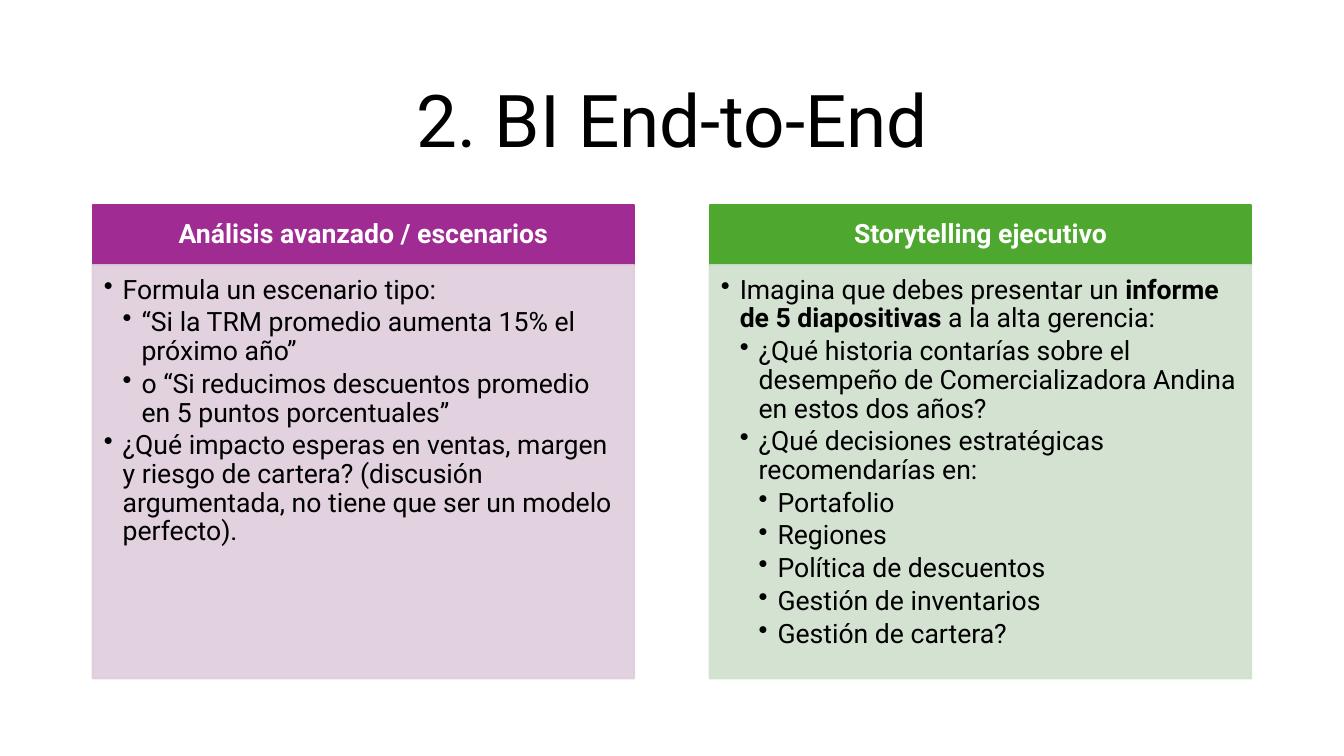
from dataclasses import dataclass

from lxml import etree
from pptx import Presentation
from pptx.dml.color import RGBColor
from pptx.enum.shapes import MSO_SHAPE
from pptx.enum.text import MSO_ANCHOR, PP_ALIGN
from pptx.oxml.ns import qn
from pptx.util import Inches, Pt

RECT = MSO_SHAPE.RECTANGLE
TOP, MIDDLE = MSO_ANCHOR.TOP, MSO_ANCHOR.MIDDLE
LEFT, CENTER = PP_ALIGN.LEFT, PP_ALIGN.CENTER

BLACK = RGBColor(0x00, 0x00, 0x00)
WHITE = RGBColor(0xFF, 0xFF, 0xFF)
PURPLE = RGBColor(0xA0, 0x2B, 0x93)
PALE_PURPLE = RGBColor(0xDF, 0xCD, 0xDC)
GREEN = RGBColor(0x4E, 0xA7, 0x2E)
PALE_GREEN = RGBColor(0xD0, 0xE1, 0xCD)

FONT = "Roboto"
TEXT_SIZE = 19
MARGIN, CARD_WIDTH, CARD_STEP = 0.92, 5.37, 6.12
HEADER_TOP, HEADER_HEIGHT, BODY_HEIGHT = 2.03, 0.6, 4.1
HEADER_INSETS = (0.15, 0.08, 0.15, 0.08)
BODY_INSETS = (0.11, 0.11, 0.15, 0.17)
INDENT = 0.1875


@dataclass
class Bullet:
    text: str  # parts between ** are bold
    level: int = 1


@dataclass
class Card:
    title: str
    color: RGBColor
    pale: RGBColor
    bullets: list[Bullet]


CARDS = [
    Card("Análisis avanzado / escenarios", PURPLE, PALE_PURPLE, [
        Bullet("Formula un escenario tipo:"),
        Bullet("“Si la TRM promedio aumenta 15% el próximo año”", 2),
        Bullet("o “Si reducimos descuentos promedio en 5 puntos porcentuales”", 2),
        Bullet("¿Qué impacto esperas en ventas, margen y riesgo de cartera? "
               "(discusión argumentada, no tiene que ser un modelo perfecto)."),
    ]),
    Card("Storytelling ejecutivo", GREEN, PALE_GREEN, [
        Bullet("Imagina que debes presentar un **informe de 5 diapositivas** "
               "a la alta gerencia:"),
        Bullet("¿Qué historia contarías sobre el desempeño de "
               "Comercializadora Andina en estos dos años?", 2),
        Bullet("¿Qué decisiones estratégicas recomendarías en:", 2),
        Bullet("Portafolio", 3),
        Bullet("Regiones", 3),
        Bullet("Política de descuentos", 3),
        Bullet("Gestión de inventarios", 3),
        Bullet("Gestión de cartera?", 3),
    ]),
]


def write(p, text: str, *, size: float = TEXT_SIZE, color: RGBColor = BLACK,
          bold: bool = False, align=LEFT, after: float = 0, level: int = 0) -> None:
    """Fill a paragraph; a level of 1 or more makes it a bullet."""
    p.alignment = align
    p.line_spacing = 0.9
    p.space_after = Pt(after)
    if level:
        p.level = level
        pPr = p._p.get_or_add_pPr()
        pPr.set("marL", str(Inches(INDENT * level)))
        pPr.set("indent", str(-Inches(INDENT)))
        etree.SubElement(pPr, qn("a:buChar")).set("char", "•")
    for i, part in enumerate(text.split("**")):
        r = p.add_run()
        r.text = part
        r.font.name = FONT
        r.font.size = Pt(size)
        r.font.bold = bold or i % 2 == 1
        r.font.color.rgb = color


def set_frame(tf, anchor, insets: tuple[float, float, float, float]) -> None:
    tf.word_wrap = True
    tf.vertical_anchor = anchor
    (tf.margin_left, tf.margin_top,
     tf.margin_right, tf.margin_bottom) = map(Inches, insets)


def add_panel(s, x: float, y: float, height: float, color: RGBColor,
              opacity: int = 100):
    sp = s.shapes.add_shape(RECT, Inches(x), Inches(y),
                            Inches(CARD_WIDTH), Inches(height))
    sp.shadow.inherit = False
    sp.line.width = Pt(1.5)
    for fill in (sp.fill, sp.line.fill):
        fill.solid()
        fill.fore_color.rgb = color
    if opacity < 100:
        for clr in sp._element.spPr.iter(qn("a:srgbClr")):
            etree.SubElement(clr, qn("a:alpha")).set("val", str(opacity * 1000))
    return sp


def add_card(s, card: Card, x: float) -> None:
    header = add_panel(s, x, HEADER_TOP, HEADER_HEIGHT, card.color)
    tf = header.text_frame
    set_frame(tf, MIDDLE, HEADER_INSETS)
    write(tf.paragraphs[0], card.title, color=WHITE, bold=True, align=CENTER)

    body = add_panel(s, x, HEADER_TOP + HEADER_HEIGHT, BODY_HEIGHT, card.pale, 90)
    tf = body.text_frame
    set_frame(tf, TOP, BODY_INSETS)
    for i, bullet in enumerate(card.bullets):
        p = tf.add_paragraph() if i else tf.paragraphs[0]
        write(p, bullet.text, after=0.15 * TEXT_SIZE, level=bullet.level)


def main() -> None:
    prs = Presentation()
    prs.slide_width, prs.slide_height = Inches(13.33), Inches(7.5)
    s = prs.slides.add_slide(prs.slide_layouts[6])

    title = s.shapes.add_textbox(Inches(MARGIN), Inches(0.61),
                                 Inches(11.5), Inches(1.24))
    set_frame(title.text_frame, MIDDLE, (0.1, 0.05, 0.1, 0.05))
    write(title.text_frame.paragraphs[0], "2. BI End-to-End", size=52, align=CENTER)

    for i, card in enumerate(CARDS):
        add_card(s, card, MARGIN + i * CARD_STEP)
    prs.save("out.pptx")


if __name__ == "__main__":
    main()
